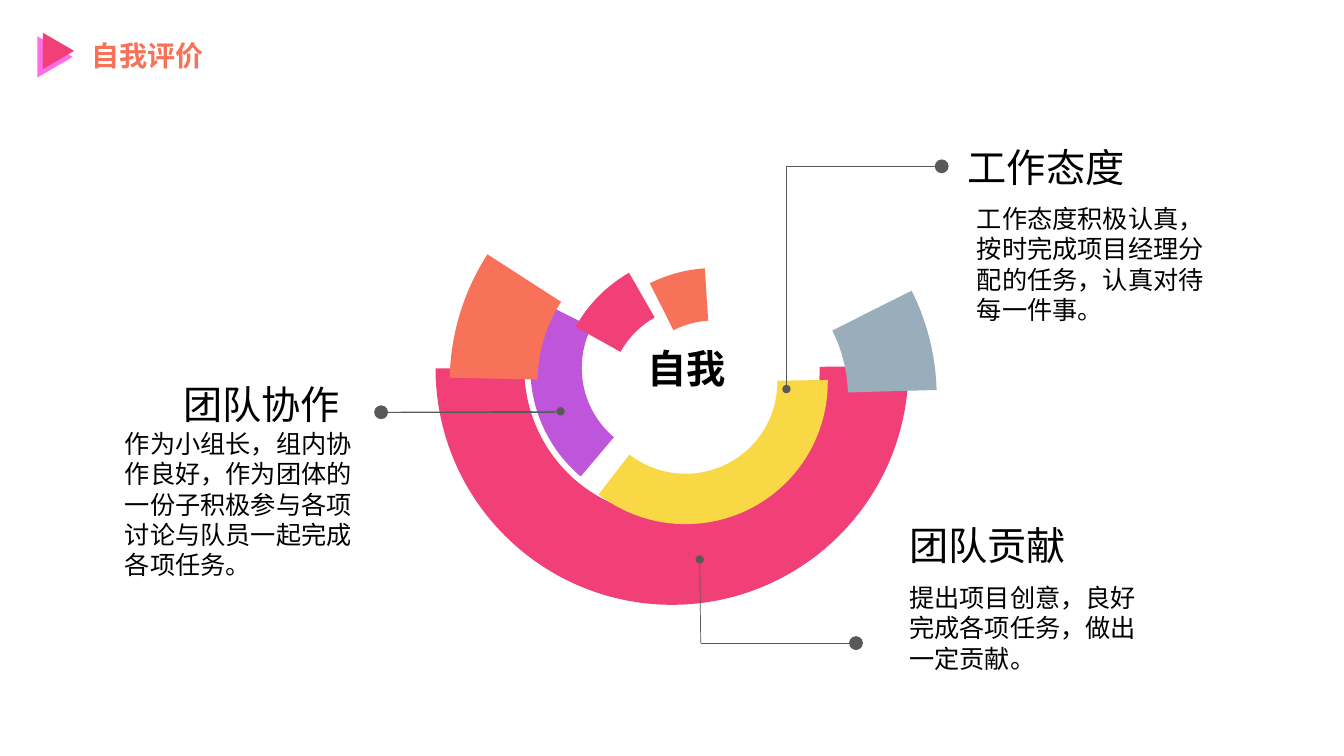
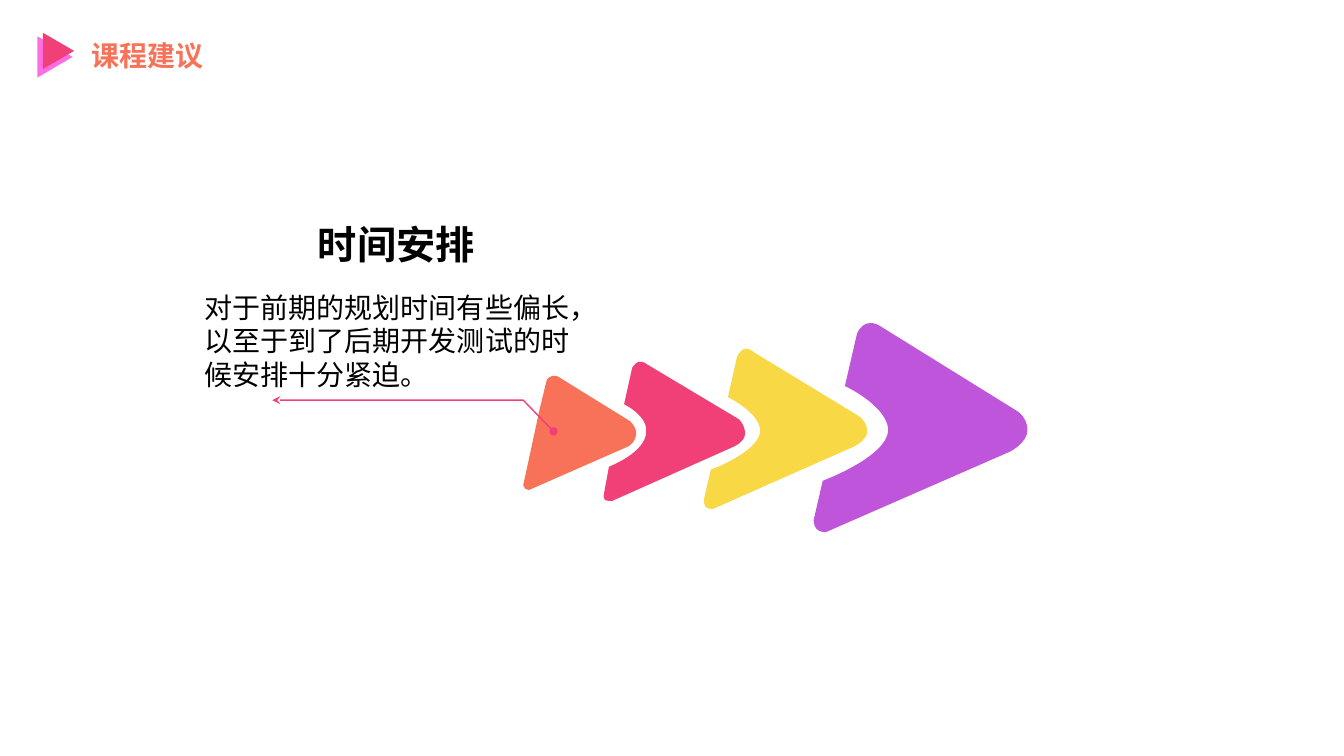
from lxml import etree
from pptx import Presentation
from pptx.dml.color import RGBColor
from pptx.enum.shapes import MSO_CONNECTOR, MSO_SHAPE
from pptx.enum.text import MSO_ANCHOR, MSO_AUTO_SIZE, PP_ALIGN
from pptx.oxml.ns import qn
from pptx.util import Inches, Pt

TRIANGLE, BLOCK_ARC = MSO_SHAPE.ISOSCELES_TRIANGLE, MSO_SHAPE.BLOCK_ARC
STRAIGHT = MSO_CONNECTOR.STRAIGHT
LEFT, CENTER, RIGHT = PP_ALIGN.LEFT, PP_ALIGN.CENTER, PP_ALIGN.RIGHT
TOP, NO_FIT = MSO_ANCHOR.TOP, MSO_AUTO_SIZE.NONE

CJK_FONT, BODY_FONT = "Noto Sans CJK SC", "Arial"
CORAL, PINK, PURPLE, YELLOW = "F77258", "F04077", "BF55DB", "F8D845"
MAGENTA, STEEL, GRAY, BLACK = "FF6CE4", "99AEBA", "595959", "000000"


def set_text(shape, text, size, color=BLACK, font=CJK_FONT, bold=False,
             align=LEFT, wrap=True):
    frame = shape.text_frame
    frame.text = text
    frame.word_wrap = wrap
    frame.auto_size = NO_FIT
    frame.vertical_anchor = TOP
    paragraph = frame.paragraphs[0]
    paragraph.alignment = align
    paragraph.line_spacing = Pt(size * 1.2)
    paragraph.font.size = Pt(size)
    paragraph.font.bold = bold
    paragraph.font.color.rgb = RGBColor.from_string(color)
    paragraph.font.name = font
    east_asian = etree.SubElement(paragraph._p.pPr.find(qn("a:defRPr")), qn("a:ea"))
    east_asian.set("typeface", CJK_FONT)


def style_line(shape, color, width, ends):
    shape.line.color.rgb = RGBColor.from_string(color)
    shape.line.width = Pt(width)
    properties = shape._element.spPr
    outline = properties.find(qn("a:ln"))
    for tag, kind, size in ends:
        end = etree.SubElement(outline, qn(tag), type=kind)
        end.set("w", size)
        end.set("len", size)
    if properties.find(qn("a:effectLst")) is None:
        etree.SubElement(properties, qn("a:effectLst"))


presentation = Presentation()
presentation.slide_width = Inches(13.33)
presentation.slide_height = Inches(7.5)
title_only = presentation.slide_layouts[5]
filled_shapes = []  # pairs of shape and colour

# Shared header: title and double triangle
slides = []
for title, title_width in (("自我评价", 2.99), ("课程建议", 2.22)):
    slide = presentation.slides.add_slide(title_only)
    heading = slide.shapes.title
    heading.left, heading.top = Inches(0.81), Inches(0.33)
    heading.width, heading.height = Inches(title_width), Inches(0.44)
    set_text(heading, title, 20, CORAL, bold=True)
    for left, top, width, height, color in ((0.34, 0.39, 0.41, 0.35, MAGENTA),
                                            (0.4, 0.35, 0.36, 0.31, PINK)):
        triangle = slide.shapes.add_shape(
            TRIANGLE, Inches(left), Inches(top), Inches(width), Inches(height))
        triangle.rotation = 90
        filled_shapes.append((triangle, color))
    slides.append(slide)
review, advice = slides

# Slide 1: ring segments as left, top, diameter, start and end degrees, thickness
BIG, SMALL = 4.69, 2.82
arcs = [
    (4.32, 1.31, BIG, 359.38, 180, 0.88, PINK),
    (5.26, 2.24, SMALL, 130.21, 206.73, 0.51, PURPLE),
    (5.39, 2.38, SMALL, 359.17, 127.75, 0.5, YELLOW),
    (5.53, 2.52, SMALL, 209.19, 240.21, 0.51, PINK),
    (4.46, 1.45, BIG, 181.17, 212.84, 0.87, CORAL),
    (4.6, 1.59, BIG, 333.39, 358.37, 0.88, STEEL),
    (5.67, 2.66, SMALL, 243.23, 266.37, 0.52, CORAL),
]
for left, top, diameter, start, end, thickness, color in arcs:
    arc = review.shapes.add_shape(
        BLOCK_ARC, Inches(left), Inches(top), Inches(diameter), Inches(diameter))
    arc.adjustments[0] = start * 0.6  # 60000 units a degree, over 100000
    arc.adjustments[1] = end * 0.6
    arc.adjustments[2] = thickness / diameter
    filled_shapes.append((arc, color))

# Slide 1: leader lines from a small dot to a large dot
SMALL_DOT, LARGE_DOT = ("a:headEnd", "oval", "med"), ("a:tailEnd", "oval", "lg")
leaders = [
    (7.8, 3.86, 7.8, 1.65, SMALL_DOT),
    (7.8, 1.65, 9.34, 1.65, LARGE_DOT),
    (5.56, 4.08, 3.72, 4.09, SMALL_DOT),
    (5.5, 4.09, 3.78, 4.09, LARGE_DOT),
    (6.94, 5.55, 6.95, 6.38, SMALL_DOT),
    (6.95, 6.38, 8.49, 6.38, LARGE_DOT),
]
for x1, y1, x2, y2, dot in leaders:
    leader = review.shapes.add_connector(
        STRAIGHT, Inches(x1), Inches(y1), Inches(x2), Inches(y2))
    style_line(leader, GRAY, 0.5, [dot])

# Slide 2: arrows; two numbers are a line, six are a cubic curve
arrows = [
    (PURPLE, (10.19, 4.27), [
        (10.19, 4.39, 10.02, 4.48, 10.02, 4.48), (8.19, 5.28),
        (8.19, 5.28, 8.13, 5.28, 8.1, 5.25), (8.07, 5.22, 8.07, 5.16, 8.07, 5.16),
        (8.16, 4.77), (8.16, 4.77, 8.81, 4.53, 8.81, 4.26),
        (8.79, 4.02, 8.38, 3.83, 8.38, 3.83), (8.5, 3.31),
        (8.5, 3.31, 8.53, 3.23, 8.6, 3.21), (8.66, 3.19, 8.72, 3.23, 8.72, 3.23),
        (10.09, 4.08), (10.09, 4.08, 10.19, 4.14, 10.19, 4.27)]),
    (YELLOW, (8.6, 4.28), [
        (8.6, 4.37, 8.47, 4.43, 8.47, 4.43), (7.07, 5.05),
        (7.07, 5.05, 7.03, 5.05, 7, 5.03), (6.98, 5, 6.98, 4.96, 6.98, 4.96),
        (7.05, 4.66), (7.05, 4.66, 7.54, 4.48, 7.54, 4.27),
        (7.53, 4.09, 7.22, 3.94, 7.22, 3.94), (7.31, 3.54),
        (7.31, 3.54, 7.33, 3.49, 7.38, 3.46), (7.43, 3.45, 7.47, 3.49, 7.47, 3.49),
        (8.52, 4.13), (8.52, 4.13, 8.6, 4.18, 8.6, 4.28)]),
    (PINK, (7.39, 4.3), [
        (7.39, 4.38, 7.28, 4.43, 7.28, 4.43), (6.07, 4.97),
        (6.07, 4.97, 6.02, 4.97, 6, 4.96), (5.98, 4.93, 5.99, 4.9, 5.99, 4.9),
        (6.04, 4.63), (6.04, 4.63, 6.41, 4.49, 6.41, 4.28),
        (6.42, 4.12, 6.19, 4.01, 6.19, 4.01), (6.27, 3.65),
        (6.27, 3.65, 6.29, 3.61, 6.33, 3.59), (6.38, 3.58, 6.41, 3.61, 6.41, 3.61),
        (7.33, 4.16), (7.33, 4.16, 7.39, 4.22, 7.39, 4.3)]),
    (CORAL, (5.35, 4.07), [
        (5.42, 3.78), (5.42, 3.78, 5.43, 3.74, 5.48, 3.73),
        (5.51, 3.72, 5.54, 3.74, 5.54, 3.74), (6.25, 4.18),
        (6.25, 4.18, 6.31, 4.24, 6.31, 4.29), (6.31, 4.39, 6.23, 4.43, 6.23, 4.43),
        (5.25, 4.86), (5.25, 4.86, 5.22, 4.86, 5.21, 4.85),
        (5.19, 4.83, 5.19, 4.81, 5.19, 4.81), (5.24, 4.58), (5.35, 4.07)]),
]
for color, start, segments in arrows:
    builder = advice.shapes.build_freeform(Inches(start[0]), Inches(start[1]))
    builder.add_line_segments(
        [(Inches(segment[-2]), Inches(segment[-1])) for segment in segments], close=True)
    arrow = builder.convert_to_shape()
    # Bend the curved segments by adding their two control points
    line_elements = list(arrow._element.iter(qn("a:lnTo")))
    for element, segment in zip(line_elements, segments):
        if len(segment) == 6:
            element.tag = qn("a:cubicBezTo")
            for index in (0, 1):
                x, y = segment[2 * index:2 * index + 2]
                control = etree.Element(qn("a:pt"), x=str(Inches(x) - arrow.left),
                                        y=str(Inches(y) - arrow.top))
                element.insert(index, control)
    filled_shapes.append((arrow, color))

# Slide 2: bent pointer
builder = advice.shapes.build_freeform(Inches(5.49), Inches(4.28))
builder.add_line_segments([(Inches(5.19), Inches(3.97)), (Inches(2.7), Inches(3.97))],
                          close=False)
pointer = builder.convert_to_shape()
pointer.fill.background()
style_line(pointer, PINK, 1, [SMALL_DOT, ("a:tailEnd", "stealth", "med")])

# Fill every solid shape
for shape, color in filled_shapes:
    shape.shadow.inherit = False
    shape.fill.solid()
    shape.fill.fore_color.rgb = RGBColor.from_string(color)
    shape.line.fill.background()

# Labels and descriptions
label = {"size": 28, "wrap": False}
body = {"size": 18, "font": BODY_FONT}
texts = [
    (review, 6.32, 3.37, 0.98, 0.57, "自我", {**label, "bold": True, "align": CENTER}),
    (review, 9.5, 1.37, 1.76, 0.57, "工作态度", label),
    (review, 1.71, 3.72, 1.76, 0.57, "团队协作", {**label, "align": RIGHT}),
    (review, 9.59, 1.97, 2.45, 1.31,
     "工作态度积极认真，按时完成项目经理分配的任务，认真对待每一件事。", body),
    (review, 1.14, 4.2, 2.45, 1.61,
     "作为小组长，组内协作良好，作为团体的一份子积极参与各项讨论与队员一起完成各项任务。", body),
    (review, 8.92, 5.12, 1.76, 0.57, "团队贡献", label),
    (review, 8.92, 5.73, 2.45, 1.01,
     "提出项目创意，良好完成各项任务，做出一定贡献。", body),
    (advice, 1.93, 2.83, 3.99, 1.11,
     "对于前期的规划时间有些偏长，以至于到了后期开发测试的时候安排十分紧迫。",
     {**body, "size": 20}),
    (advice, 2.95, 2.14, 1.96, 0.57, "时间安排",
     {"size": 28, "font": BODY_FONT, "bold": True, "align": CENTER}),
]
for slide, left, top, width, height, text, style in texts:
    box = slide.shapes.add_textbox(
        Inches(left), Inches(top), Inches(width), Inches(height))
    set_text(box, text, **style)

presentation.save("out.pptx")
